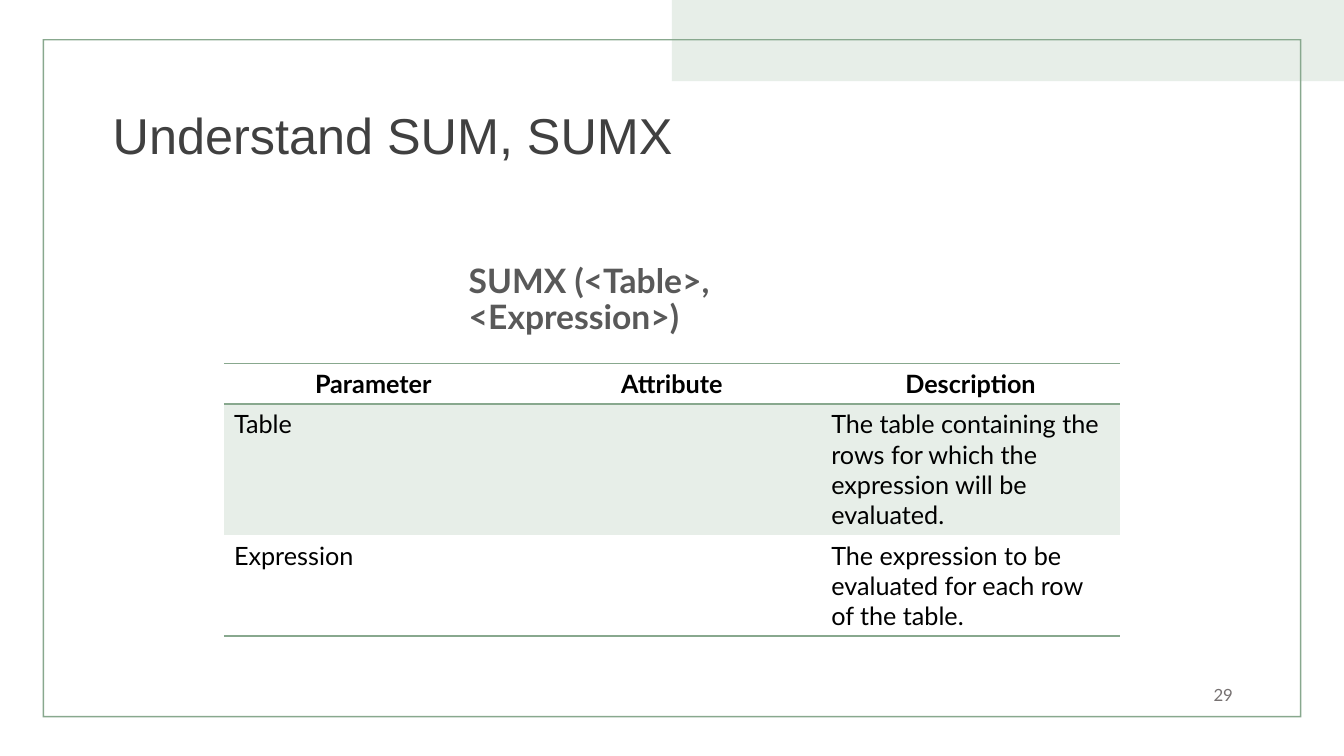
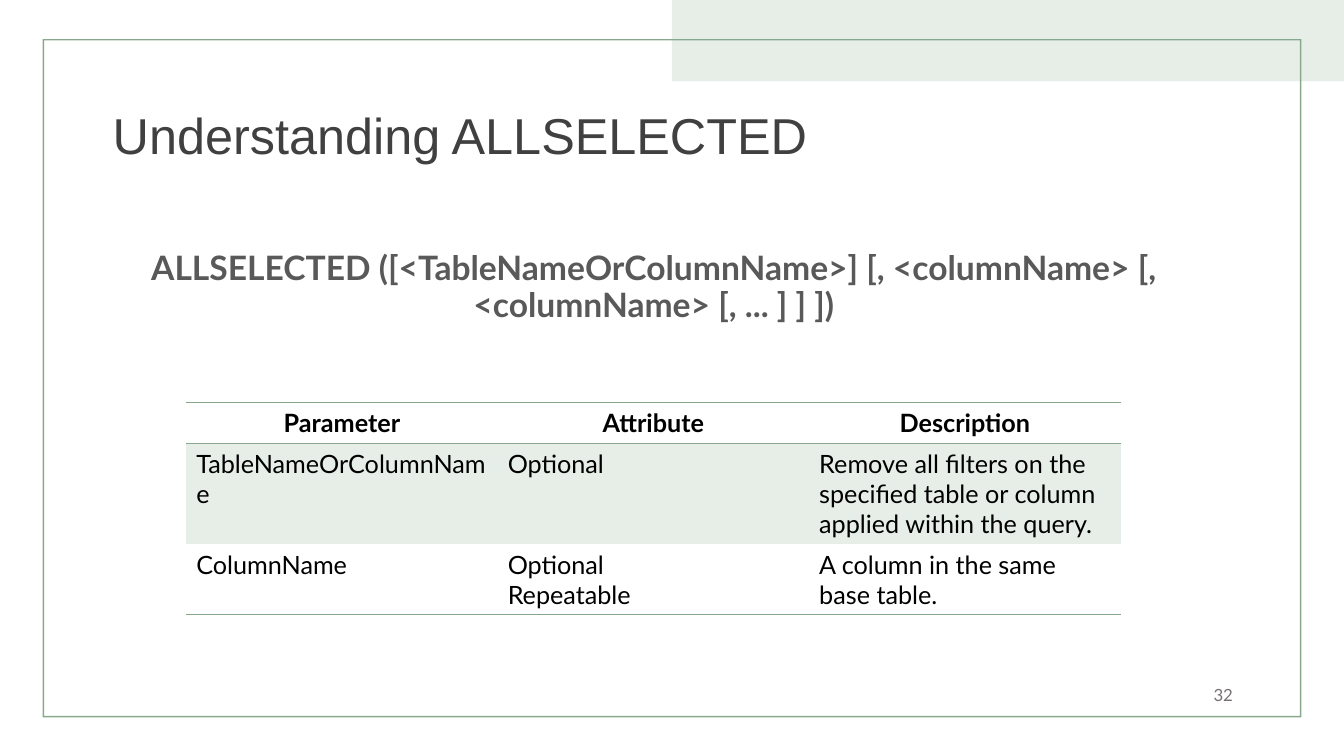
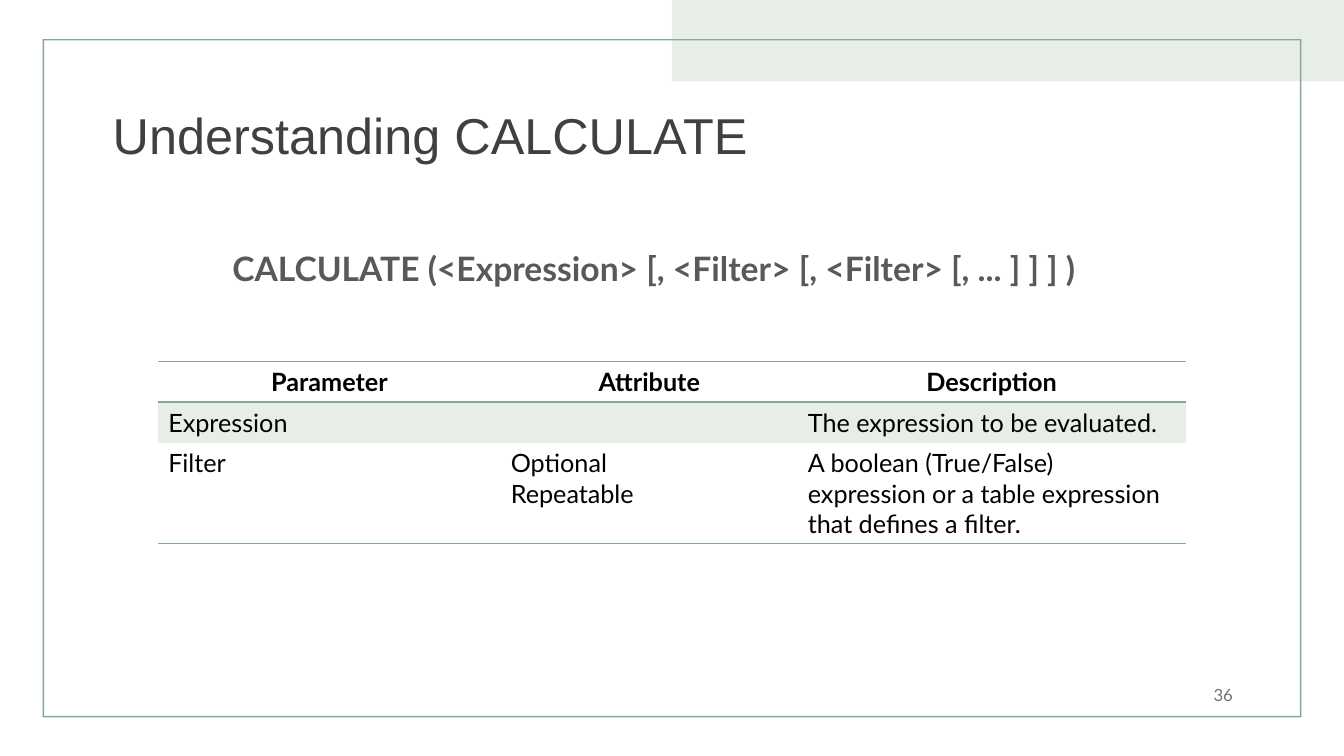
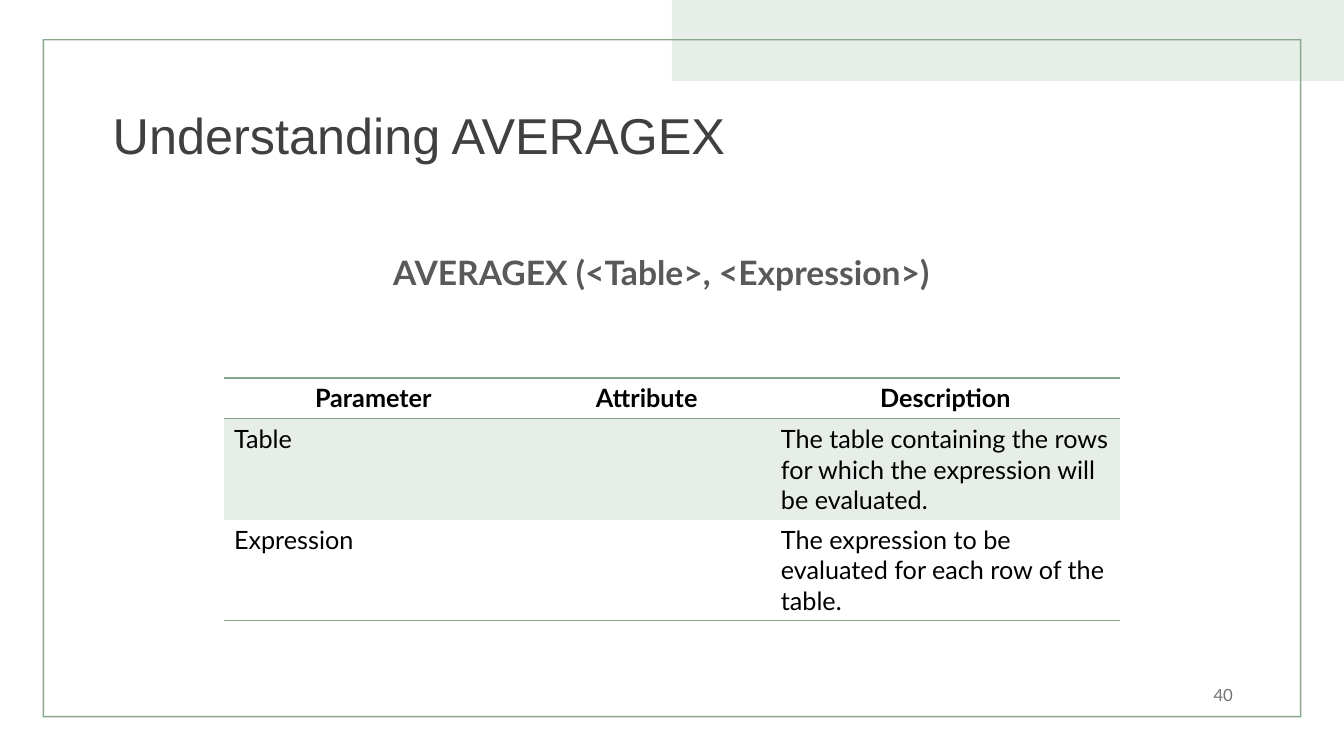
from dataclasses import dataclass

import lxml.etree
import pptx
import pptx.dml.color
import pptx.enum.shapes
import pptx.enum.text
import pptx.oxml
import pptx.oxml.ns
import pptx.shapes.autoshape
import pptx.slide
import pptx.table
import pptx.text.text
import pptx.util

Pt = pptx.util.Pt
Align = pptx.enum.text.PP_ALIGN
Anchor = pptx.enum.text.MSO_ANCHOR
ShapeType = pptx.enum.shapes.MSO_SHAPE
qn = pptx.oxml.ns.qn

COLORS = {
    "green": "88A88E",
    "pale_green": "E7EEE8",
    "white": "FFFFFF",
    "title": "404040",
    "syntax": "595959",
    "number": "767171",
    "black": "000000",
}
TITLE_FONT = "Arial"
BODY_FONT = "Lato"
HEADER = ("Parameter", "Attribute", "Description")
ROW_HEIGHT = 29.2
PLAIN_TABLE_STYLE = "{2D5ABB26-0587-4C30-8999-92F81FD0307C}"


@dataclass(frozen=True)
class Box:
    left: float
    top: float
    width: float
    height: float

    def lengths(self) -> tuple[pptx.util.Length, ...]:
        return Pt(self.left), Pt(self.top), Pt(self.width), Pt(self.height)


@dataclass(frozen=True)
class FunctionPage:
    title: str
    syntax: str
    syntax_box: Box
    number: int
    table_left: float
    table_top: float
    columns: tuple[float, float, float]
    rows: tuple[tuple[str, str, str], ...]
    syntax_alignment: Align = Align.CENTER


TOP_BAND = Box(480, 0, 480, 58)
FRAME = Box(30.5, 27.9, 899, 484.5)
TITLE_BOX = Box(73.3, 38.4, 828, 120)
NUMBER_BOX = Box(671.8, 481.5, 216, 29)

TABLE_AND_EXPRESSION = (
    ("Table", "", "The table containing the rows for which the expression will be evaluated."),
    ("Expression", "", "The expression to be evaluated for each row of the table."),
)

PAGES = (
    FunctionPage(
        title="Understand SUM, SUMX",
        syntax="SUMX (<Table>, <Expression>)",
        syntax_box=Box(327.6, 185, 319, 34.5),
        syntax_alignment=Align.LEFT,
        number=29,
        table_left=160,
        table_top=259.4,
        columns=(213.33, 213.33, 213.33),
        rows=TABLE_AND_EXPRESSION,
    ),
    FunctionPage(
        title="Understanding ALLSELECTED",
        syntax="ALLSELECTED ([<TableNameOrColumnName>] [, <columnName> [, <columnName> [, ... ] ] ])",
        syntax_box=Box(67, 176.2, 800, 68.5),
        number=32,
        table_left=133,
        table_top=287.5,
        columns=(222.5, 222.5, 222.5),
        rows=(
            ("TableNameOrColumnName", "Optional",
             "Remove all filters on the specified table or column applied within the query."),
            ("ColumnName", "Optional\nRepeatable", "A column in the same base table."),
        ),
    ),
    FunctionPage(
        title="Understanding CALCULATE",
        syntax="CALCULATE (<Expression> [, <Filter> [, <Filter> [, ... ] ] ] )",
        syntax_box=Box(67, 177, 800, 39),
        number=36,
        table_left=113,
        table_top=258,
        columns=(244.7, 212.2, 277),
        rows=(
            ("Expression", "", "The expression to be evaluated."),
            ("Filter", "Optional\nRepeatable",
             "A boolean (True/False) expression or a table expression that defines a filter."),
        ),
    ),
    FunctionPage(
        title="Understanding AVERAGEX",
        syntax="AVERAGEX (<Table>, <Expression>)",
        syntax_box=Box(273.6, 179.7, 412.5, 34.5),
        syntax_alignment=Align.LEFT,
        number=40,
        table_left=160,
        table_top=270,
        columns=(213.33, 177.33, 249.33),
        rows=TABLE_AND_EXPRESSION,
    ),
)


def color(name: str) -> pptx.dml.color.RGBColor:
    return pptx.dml.color.RGBColor.from_string(COLORS[name])


def place(shape: pptx.shapes.autoshape.Shape, box: Box) -> None:
    shape.left, shape.top, shape.width, shape.height = box.lengths()


def write_text(
    text_frame: pptx.text.text.TextFrame,
    text: str,
    *,
    size: float,
    color_name: str,
    font: str = BODY_FONT,
    bold: bool = False,
    alignment: Align = Align.LEFT,
    line_spacing: float = 1.0,
    space_after: float = 0,
) -> None:
    """Fill the frame with one unbulleted paragraph per line of text."""
    for index, line in enumerate(text.split("\n")):
        paragraph = text_frame.paragraphs[0] if index == 0 else text_frame.add_paragraph()
        properties = paragraph._p.get_or_add_pPr()
        properties.set("marL", "0")
        properties.set("indent", "0")
        lxml.etree.SubElement(properties, qn("a:buNone"))
        paragraph.alignment = alignment
        paragraph.line_spacing = line_spacing
        paragraph.space_before = Pt(0)
        paragraph.space_after = Pt(space_after)
        run = paragraph.add_run()
        run.text = line
        run.font.name = font
        run.font.size = Pt(size)
        run.font.bold = bold
        run.font.color.rgb = color(color_name)


def add_filled_shape(
    slide: pptx.slide.Slide, shape_type: ShapeType, box: Box, color_name: str
) -> pptx.shapes.autoshape.Shape:
    shape = slide.shapes.add_shape(shape_type, *box.lengths())
    shape.shadow.inherit = False
    shape.fill.solid()
    shape.fill.fore_color.rgb = color(color_name)
    shape.line.fill.background()
    return shape


def add_band_and_frame(slide: pptx.slide.Slide) -> None:
    """Draw the shared decoration behind the placeholders."""
    band = add_filled_shape(slide, ShapeType.RECTANGLE, TOP_BAND, "pale_green")
    frame = add_filled_shape(slide, ShapeType.FRAME, FRAME, "green")
    frame.adjustments[0] = 0.002
    for position, shape in enumerate((band, frame), start=2):
        slide.shapes.element.insert(position, shape.element)


def add_border(cell: pptx.table._Cell, side: str, position: int) -> None:
    """Draw a 1 pt green line on the side lnT or lnB of a cell."""
    border = pptx.oxml.parse_xml(
        f'<a:{side} {pptx.oxml.ns.nsdecls("a")} w="{Pt(1)}"><a:solidFill>'
        f'<a:srgbClr val="{COLORS["green"]}"/></a:solidFill></a:{side}>'
    )
    cell._tc.get_or_add_tcPr().insert(position, border)


def add_parameter_table(slide: pptx.slide.Slide, page: FunctionPage) -> None:
    rows = (HEADER, *page.rows)
    box = Box(page.table_left, page.table_top, sum(page.columns), ROW_HEIGHT * len(rows))
    table = slide.shapes.add_table(len(rows), len(HEADER), *box.lengths()).table
    table.horz_banding = False
    table._tbl.tblPr.find(qn("a:tableStyleId")).text = PLAIN_TABLE_STYLE
    for column, width in zip(table.columns, page.columns):
        column.width = Pt(width)
    for row_index, texts in enumerate(rows):
        is_header = row_index == 0
        table.rows[row_index].height = Pt(ROW_HEIGHT)
        for column_index, text in enumerate(texts):
            cell = table.cell(row_index, column_index)
            cell.fill.solid()
            cell.fill.fore_color.rgb = color("pale_green" if row_index % 2 else "white")
            if is_header:
                add_border(cell, "lnT", 0)
            if is_header or row_index == len(rows) - 1:
                add_border(cell, "lnB", int(is_header))
            if text:
                write_text(
                    cell.text_frame, text, size=18, color_name="black", bold=is_header,
                    alignment=Align.CENTER if is_header else Align.LEFT,
                )


def add_number(slide: pptx.slide.Slide, number: int) -> None:
    text_frame = slide.shapes.add_textbox(*NUMBER_BOX.lengths()).text_frame
    text_frame.word_wrap = True
    text_frame.vertical_anchor = Anchor.MIDDLE
    write_text(text_frame, str(number), size=12, color_name="number", alignment=Align.RIGHT)


def fill_slide(slide: pptx.slide.Slide, page: FunctionPage) -> None:
    title, syntax = slide.placeholders
    add_band_and_frame(slide)
    place(title, TITLE_BOX)
    title.text_frame.vertical_anchor = Anchor.MIDDLE
    write_text(
        title.text_frame, page.title, font=TITLE_FONT, size=36, color_name="title",
        line_spacing=0.9,
    )
    place(syntax, page.syntax_box)
    syntax.text_frame.vertical_anchor = Anchor.TOP
    write_text(
        syntax.text_frame, page.syntax, size=24, color_name="syntax", bold=True,
        alignment=page.syntax_alignment, line_spacing=0.9, space_after=12,
    )
    for placeholder in (title, syntax):
        placeholder.text_frame.word_wrap = True
        placeholder.text_frame.auto_size = pptx.enum.text.MSO_AUTO_SIZE.NONE
    add_number(slide, page.number)
    add_parameter_table(slide, page)


def main() -> None:
    presentation = pptx.Presentation()
    presentation.slide_width = Pt(960)
    presentation.slide_height = Pt(540)
    layout = presentation.slide_layouts[1]
    for page in PAGES:
        fill_slide(presentation.slides.add_slide(layout), page)
    presentation.save("out.pptx")


if __name__ == "__main__":
    main()
